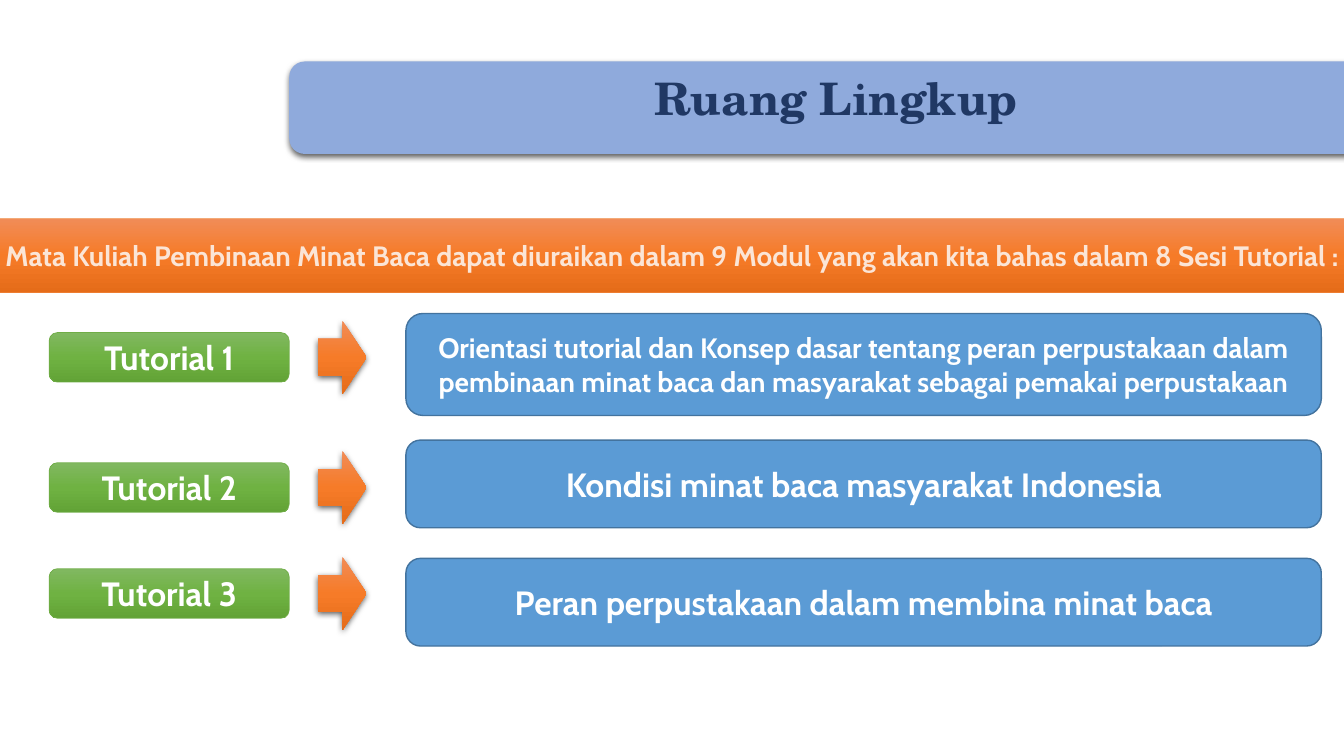
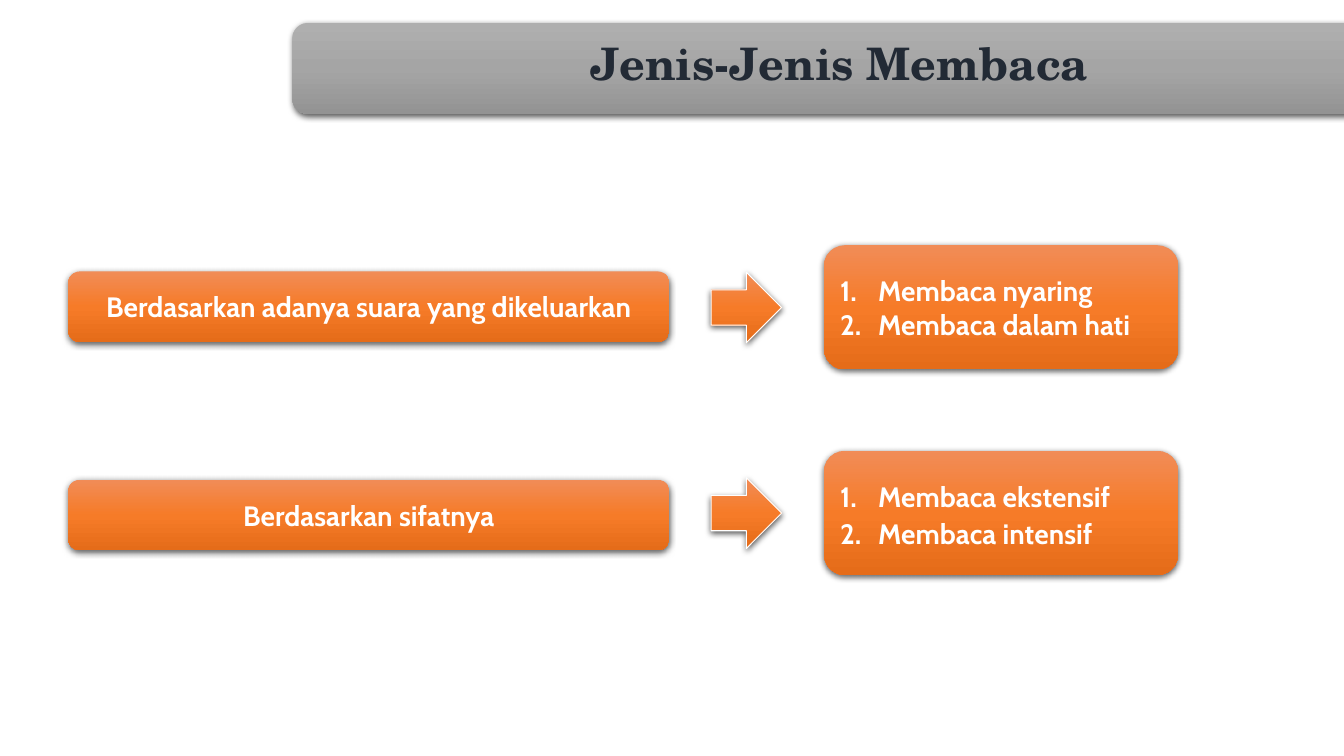
"""Builds two course slides: the tutorial scope and the kinds of reading."""
from copy import deepcopy

from pptx import Presentation
from pptx.dml.color import RGBColor
from pptx.enum.shapes import MSO_SHAPE
from pptx.enum.text import MSO_ANCHOR, PP_ALIGN
from pptx.oxml import parse_xml
from pptx.oxml.ns import nsdecls, qn
from pptx.util import Cm, Pt

ROUNDED = MSO_SHAPE.ROUNDED_RECTANGLE
ARROW = MSO_SHAPE.RIGHT_ARROW
TOP, MIDDLE = MSO_ANCHOR.TOP, MSO_ANCHOR.MIDDLE
LEFT, CENTER = PP_ALIGN.LEFT, PP_ALIGN.CENTER


class Theme:
    title_font = "TeX Gyre Schola"
    body_font = "Cabin"
    title_size, large_size, body_size = 32, 24, 20
    orange = ("F18C57", "F67B28", "E56C19")
    green = ("81B861", "6FB242", "62A336")
    gray = ("AFAFAF", "A5A5A5", "939393")
    periwinkle = ("8FAADC",)
    blue = ("5B9BD5",)
    orange_edge, green_edge, blue_edge = "ED7D31", "70AD47", "43739E"
    navy, slate, peach, white = "203864", "222A35", "FBE5D6", "FFFFFF"


SHADOW = (
    f'<a:outerShdw {nsdecls("a")} blurRad="57150" dist="19050" dir="5400000" algn="ctr" '
    'rotWithShape="0"><a:srgbClr val="000000"><a:alpha val="63000"/></a:srgbClr></a:outerShdw>'
)


def add_panel(page, preset, frame, colors, edge=None, edge_width=0.5, shadow=False):
    panel = page.shapes.add_shape(preset, *[Cm(length) for length in frame])
    if len(colors) == 1:
        panel.fill.solid()
        panel.fill.fore_color.rgb = RGBColor.from_string(colors[0])
    else:
        panel.fill.gradient()
        panel.fill.gradient_angle = 270
        stop_list = panel.fill.gradient_stops[0]._gs.getparent()
        stop_list.append(deepcopy(stop_list[-1]))
        for stop, color, position in zip(panel.fill.gradient_stops, colors, (0, 0.5, 1)):
            stop.color.rgb = RGBColor.from_string(color)
            stop.position = position
    if edge:
        panel.line.color.rgb = RGBColor.from_string(edge)
        panel.line.width = Pt(edge_width)
    else:
        panel.line.fill.background()
    panel.shadow.inherit = False
    if shadow:
        panel._element.spPr.find(qn("a:effectLst")).append(parse_xml(SHADOW))
    return panel


def write(panel, lines, size, color=Theme.white, font=Theme.body_font,
          anchor=MIDDLE, numbered=False, spacing=1.0):
    panel.text_frame.text = "\n".join(lines)
    panel.text_frame.word_wrap = True
    panel.text_frame.vertical_anchor = anchor
    for para in panel.text_frame.paragraphs:
        para.alignment = LEFT if numbered else CENTER
        para.line_spacing = spacing
        if numbered:
            properties = para._p.get_or_add_pPr()
            properties.set("marL", str(Cm(0.96)))
            properties.set("indent", str(-Cm(0.96)))
            properties.append(parse_xml(
                f'<a:buFont {nsdecls("a")} typeface="+mj-lt"/>'))
            properties.append(parse_xml(
                f'<a:buAutoNum {nsdecls("a")} type="arabicPeriod"/>'))
        for span in para.runs:
            span.font.name = font
            span.font.size = Pt(size)
            span.font.bold = True
            span.font.color.rgb = RGBColor.from_string(color)


deck = Presentation()
deck.slide_width, deck.slide_height = Cm(33.87), Cm(19.05)

titles = [
    ("Ruang Lingkup", (7.29, 1.55, 27.58, 2.33), Theme.periwinkle, Theme.navy, 1.0),
    ("Jenis-Jenis Membaca", (7.37, 0.58, 27.58, 2.29), Theme.gray, Theme.slate, 1.07),
]
pages = []
for title, frame, colors, text_color, spacing in titles:
    page = deck.slides.add_slide(deck.slide_layouts[6])
    banner = add_panel(page, ROUNDED, frame, colors, shadow=True)
    write(banner, [title], Theme.title_size, text_color, Theme.title_font, TOP, spacing=spacing)
    pages.append(page)
scope_page, reading_page = pages

intro = add_panel(scope_page, ROUNDED, (-0.43, 5.51, 34.75, 1.86), Theme.orange, Theme.orange_edge)
write(intro, ["Mata Kuliah Pembinaan Minat Baca dapat diuraikan dalam 9 Modul "
              "yang akan kita bahas dalam 8 Sesi Tutorial :"], Theme.body_size, Theme.peach)

tutorials = [
    ("Orientasi tutorial dan Konsep dasar tentang peran perpustakaan dalam pembinaan "
     "minat baca dan masyarakat sebagai pemakai perpustakaan",
     8.38, 7.9, 2.57, Theme.body_size),
    ("Kondisi minat baca masyarakat Indonesia", 11.66, 11.09, 2.21, Theme.large_size),
    ("Peran perpustakaan dalam membina minat baca", 14.33, 14.07, 2.21, Theme.large_size),
]
for number, (topic, tag_top, topic_top, topic_height, size) in enumerate(tutorials, 1):
    tag = add_panel(scope_page, ROUNDED, (1.24, tag_top, 6.05, 1.25),
                    Theme.green, Theme.green_edge)
    write(tag, [f"Tutorial {number}"], Theme.large_size)
    add_panel(scope_page, ARROW, (8.02, tag_top - 0.3, 1.22, 1.85), Theme.orange, shadow=True)
    topic_box = add_panel(scope_page, ROUNDED, (10.23, topic_top, 23.07, topic_height),
                          Theme.blue, Theme.blue_edge, 1)
    write(topic_box, [topic], size)

readings = [
    ("Berdasarkan adanya suara yang dikeluarkan", ["Membaca nyaring", "Membaca dalam hati"],
     6.84, 6.18, 1.0),
    ("Berdasarkan sifatnya", ["Membaca ekstensif", "Membaca intensif"], 12.09, 11.36, 1.12),
]
for basis, kinds, basis_top, kinds_top, spacing in readings:
    basis_box = add_panel(reading_page, ROUNDED, (1.72, basis_top, 15.15, 1.78),
                          Theme.orange, shadow=True)
    write(basis_box, [basis], Theme.body_size)
    kinds_box = add_panel(reading_page, ROUNDED, (20.77, kinds_top, 8.92, 3.13),
                          Theme.orange, shadow=True)
    write(kinds_box, kinds, Theme.body_size, numbered=True, spacing=spacing)
    add_panel(reading_page, ARROW, (17.92, kinds_top + 0.68, 1.78, 1.78),
              Theme.orange, Theme.white, 0.75, shadow=True)

deck.save("out.pptx")
